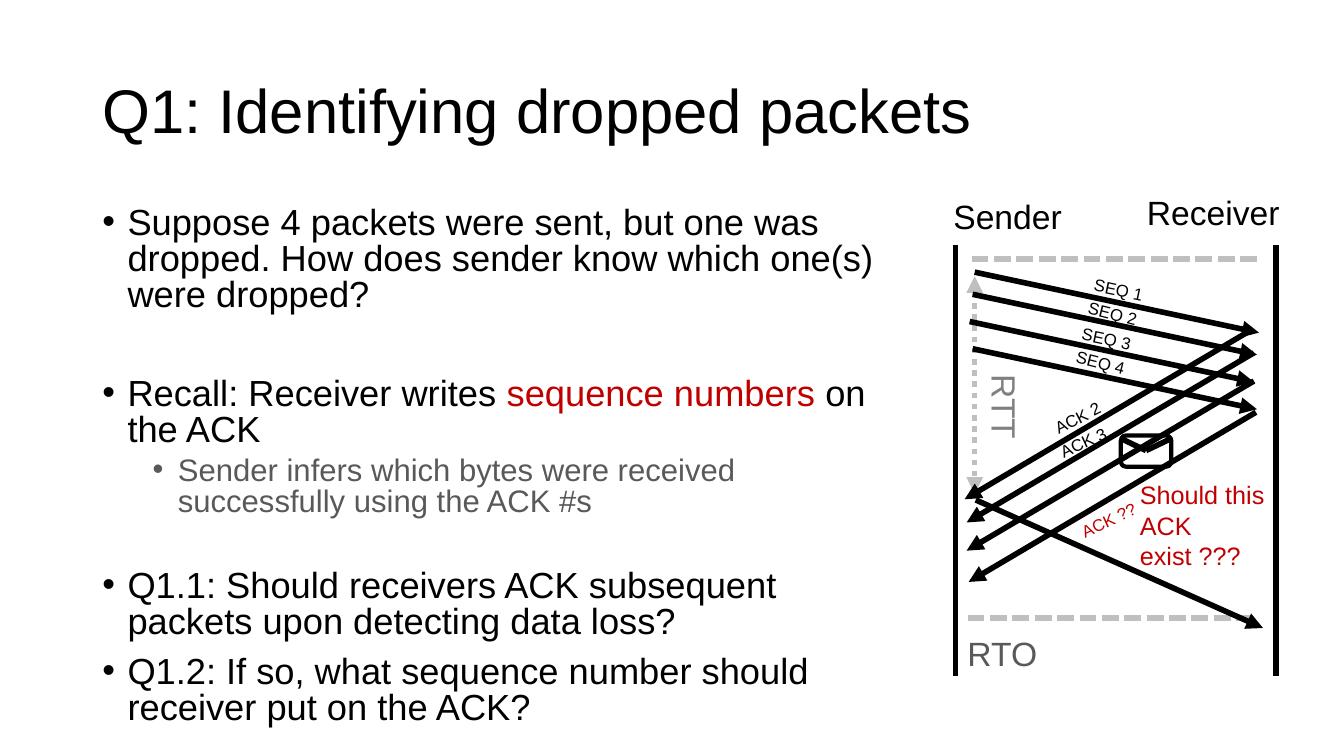
from dataclasses import dataclass

from lxml import etree
from pptx import Presentation
from pptx import util as u
from pptx.dml import color
from pptx.enum import dml, shapes, text
from pptx.oxml import ns

# Grid of 160 columns by 90 rows
COLUMNS, ROWS = 160, 90
CELL = u.Inches(1 / 12)
BLACK, RED, SILVER, GRAY, DARK_GRAY = "000000", "C00000", "BFBFBF", "808080", "595959"


@dataclass
class Label:
    words: str
    column: float
    row: float
    columns: float
    rows: float
    size: float = 24
    colour: str = BLACK
    rotation: float = 0
    anchor: text.MSO_ANCHOR = text.MSO_ANCHOR.TOP
    line_spacing: float = 1.0


@dataclass
class Line:
    start: tuple[float, float]
    end: tuple[float, float]
    colour: str = BLACK
    dash: dml.MSO_LINE | None = None
    ends: tuple[str, ...] = ()


@dataclass
class Bullet:
    runs: list[tuple[str, str]]
    size: float = 25.9
    indent: float = 0.25
    space_before: float = 10


def cells(*counts: float) -> list[int]:
    return [round(count * CELL) for count in counts]


def rgb(value: str) -> color.RGBColor:
    return color.RGBColor.from_string(value)


def apply(target, values: dict) -> None:
    for name, value in values.items():
        setattr(target, name, value)


def add_run(paragraph, words: str, size: float, colour: str) -> None:
    run = paragraph.add_run()
    run.text = words
    apply(run.font, {"name": "Arial", "size": u.Pt(size)})
    run.font.color.rgb = rgb(colour)


def draw_label(slide, label: Label) -> None:
    box = slide.shapes.add_textbox(*cells(label.column, label.row, label.columns, label.rows))
    box.rotation = label.rotation
    apply(box.text_frame, {"word_wrap": True, "vertical_anchor": label.anchor})
    paragraph = box.text_frame.paragraphs[0]
    paragraph.line_spacing = label.line_spacing
    for index, words in enumerate(label.words.split("\n")):
        if index:
            paragraph.add_line_break()
        add_run(paragraph, words, label.size, label.colour)


def draw_line(slide, line: Line) -> None:
    connector = slide.shapes.add_connector(
        shapes.MSO_CONNECTOR.STRAIGHT, *cells(*line.start, *line.end))
    connector.line.color.rgb = rgb(line.colour)
    apply(connector.line, {"width": u.Pt(4), "dash_style": line.dash})
    properties = connector.line._get_or_add_ln()
    for end in line.ends:
        etree.SubElement(properties, ns.qn(f"a:{end}"), type="triangle")
    etree.SubElement(connector._element.spPr, ns.qn("a:effectLst"))


def draw_bullets(slide, bullets: list[Bullet]) -> None:
    frame = slide.shapes.add_textbox(*cells(11, 24, 94.4, 65.2)).text_frame
    frame.word_wrap = True
    for index, bullet in enumerate(bullets):
        paragraph = frame.add_paragraph() if index else frame.paragraphs[0]
        properties = paragraph._p.get_or_add_pPr()
        properties.set("marL", str(u.Inches(bullet.indent)))
        properties.set("indent", str(u.Inches(-0.25)))
        etree.SubElement(properties, ns.qn("a:buFont"), typeface="Arial")
        etree.SubElement(properties, ns.qn("a:buChar"), char="•")
        apply(paragraph, {"line_spacing": 0.83,
                          "space_before": u.Pt(bullet.space_before if index else 0)})
        for words, colour in bullet.runs:
            add_run(paragraph, words, bullet.size, colour)


def shifted(starts: list[tuple[float, float]], across: float, down: float) -> list[Line]:
    return [Line((x, y), (x + across, y + down), ends=("tailEnd",)) for x, y in starts]


TITLE = Label("Q1: Identifying dropped packets", 11, 4.8, 138, 17.4, 44,
              anchor=text.MSO_ANCHOR.MIDDLE, line_spacing=0.9)

BULLETS = [
    Bullet([("Suppose 4 packets were sent, but one was dropped. "
             "How does sender know which one(s) were dropped?", BLACK)]),
    Bullet([("Recall: Receiver writes ", BLACK), ("sequence numbers ", RED),
            ("on the ACK", BLACK)], space_before=44.7),
    Bullet([("Sender infers which bytes were received successfully using the ACK #s",
             DARK_GRAY)], size=22.2, indent=0.75, space_before=5),
    Bullet([("Q1.1: Should receivers ACK subsequent packets upon detecting data loss?",
             BLACK)], space_before=36),
    Bullet([("Q1.2: If so, what sequence number should receiver put on the ACK?", BLACK)]),
]

TIMELINES = [Line((x, 29.16), (x, 80.52)) for x in (113.76, 151.92)]
TIMERS = [
    Line((115.2, 73.56), (149.4, 73.56), SILVER, dml.MSO_LINE.SQUARE_DOT),
    Line((115.68, 30.84), (149.88, 30.84), SILVER, dml.MSO_LINE.SQUARE_DOT),
    Line((116.04, 32.88), (116.04, 58.8), SILVER, dml.MSO_LINE.ROUND_DOT,
         ("headEnd", "tailEnd")),
]
# MSO_LINE.SQUARE_DOT is sysDash and ROUND_DOT is sysDot
PACKETS = shifted([(116.04, 32.4), (115.8, 35.04), (115.44, 38.28), (115.8, 41.52)], 33.84, 7.2)
ACKS = shifted([(149.04, 39.24), (149.28, 42), (149.28, 45.36), (149.52, 49.08)], -34.2, 20.2)
RETRANSMISSION = shifted([(116.16, 59.52)], 34.2, 15.24)
ENVELOPE = (133.44, 51.84, 6, 3.72)
FLAP = [Line((133.44, 52.2), (136.44, 53.64)), Line((136.44, 53.64), (139.44, 52.2))]

LABELS = [
    Label("Sender", 112.32, 22.68, 18.12, 6),
    Label("Receiver", 135.36, 22.2, 20.16, 6),
    Label("RTT", 113.04, 47.04, 13.2, 6, colour=GRAY, rotation=90),
    Label("RTO", 114, 74.76, 13.2, 6, colour=DARK_GRAY),
    Label("Should this ACK\nexist ???", 134.52, 56.52, 18.36, 12.12, 18, RED),
    *[Label(f"SEQ {index + 1}", 129 - 0.72 * index, 33.12 + 2.92 * index, 12.6, 3.6, 12,
            rotation=(11.9, 14.2)[index % 2]) for index in range(4)],
    Label("ACK 2", 123.96, 46.92, 12.6, 3.6, 12, rotation=333),
    Label("ACK 3", 124.68, 49.92, 12.6, 3.6, 12, rotation=335.2),
    Label("ACK ??", 127.2, 59.4, 12.6, 3.6, 12, RED, 335.2),
]


def main() -> None:
    presentation = Presentation()
    apply(presentation, {"slide_width": COLUMNS * CELL, "slide_height": ROWS * CELL})
    slide = presentation.slides.add_slide(presentation.slide_layouts[6])

    # Title and questions
    draw_label(slide, TITLE)
    draw_bullets(slide, BULLETS)

    # Exchange between sender and receiver
    for line in TIMELINES + TIMERS + PACKETS + ACKS + RETRANSMISSION:
        draw_line(slide, line)

    # Envelope
    envelope = slide.shapes.add_shape(shapes.MSO_SHAPE.ROUNDED_RECTANGLE, *cells(*ENVELOPE))
    envelope.shadow.inherit = False
    envelope.fill.background()
    envelope.line.color.rgb = rgb(BLACK)
    envelope.line.width = u.Pt(3)
    for line in FLAP:
        draw_line(slide, line)

    # Labels
    for label in LABELS:
        draw_label(slide, label)

    presentation.save("out.pptx")


if __name__ == "__main__":
    main()
